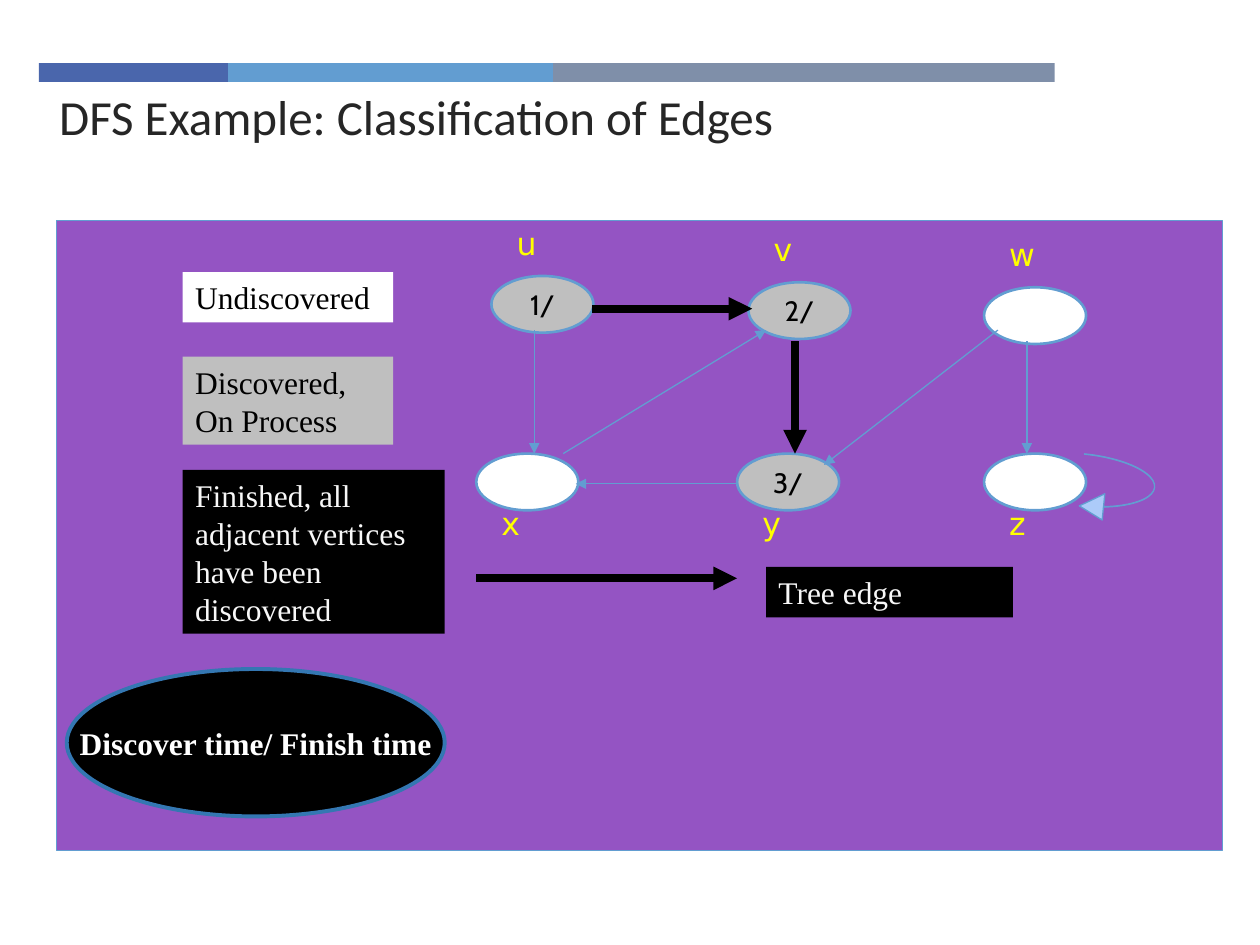
from lxml.etree import SubElement
from pptx import Presentation
from pptx.dml.color import RGBColor
from pptx.enum.shapes import MSO_CONNECTOR as Link, MSO_SHAPE as Form
from pptx.enum.text import MSO_ANCHOR as Anchor, PP_ALIGN as Align
from pptx.oxml.ns import qn
from pptx.util import Inches, Pt

BLACK, WHITE, GRAY, PALE = "000000", "FFFFFF", "BFBFBF", "F8F8F8"
BLUE, PURPLE, YELLOW = "629DD1", "9454C3", "FFFF00"
SERIF = "Times New Roman"


def color(code):
    return RGBColor.from_string(code)


class Board:
    """Holds the slide and its common style."""

    def __init__(self, slide):
        self.slide = slide
        self.shapes = slide.shapes

    def label(self, shape, text, size, face, ink, align=Align.LEFT,
              anchor=Anchor.TOP, wrap=True, bold=False):
        """Set and format the text of a shape."""
        frame = shape.text_frame
        frame.text = text
        frame.word_wrap = wrap
        frame.vertical_anchor = anchor
        para = frame.paragraphs[0]
        para.alignment = align
        para.space_before = Pt(0)
        font = para.runs[0].font
        font.size, font.name, font.bold = Pt(size), face, bold
        font.color.rgb = color(ink)

    def title(self, text, *box):
        shape = self.shapes.title
        shape.left, shape.top, shape.width, shape.height = map(Inches, box)
        self.label(shape, text, 28, "Calibri", "262626", anchor=Anchor.MIDDLE)

    def shape(self, form, box, fill, line=None, width=0.75):
        shape = self.shapes.add_shape(form, *map(Inches, box))
        shape.shadow.inherit = False
        shape.fill.solid()
        shape.fill.fore_color.rgb = color(fill)
        if line:
            shape.line.color.rgb = color(line)
            shape.line.width = Pt(width)
        else:
            shape.line.fill.background()
        return shape

    def note(self, text, box, fill, ink):
        self.label(self.shape(Form.RECTANGLE, box, fill), text, 18, SERIF, ink)

    def node(self, name, x, y, drop, fill, time):
        """Draw a vertex with its name placed drop inches below its top."""
        oval = self.shape(Form.OVAL, (x, y, 0.81, 0.45), fill, BLUE, 1.5)
        if time:
            self.label(oval, time, 16, "Cabin", BLACK, Align.CENTER,
                       Anchor.MIDDLE, wrap=False)
        box = map(Inches, (x + 0.02, y + drop, 0.81, 0.4))
        name_box = self.shapes.add_textbox(*box)
        name_box.text_frame.margin_left = Inches(0.18)
        self.label(name_box, name, 18, "DejaVu Sans", YELLOW)

    def arrow(self, ends, ink=BLUE, width=0.75):
        link = self.shapes.add_connector(Link.STRAIGHT, *map(Inches, ends))
        link.line.color.rgb = color(ink)
        link.line.width = Pt(width)
        props = link._element.spPr
        SubElement(props.find(qn("a:ln")), qn("a:tailEnd"), type="triangle")
        SubElement(props, qn("a:effectLst"))


def main():
    deck = Presentation()
    deck.slide_width, deck.slide_height = Inches(10), Inches(7.5)
    board = Board(deck.slides.add_slide(deck.slide_layouts[5]))

    left = 0.31
    for width, fill in ((1.5, "4A66AC"), (2.58, BLUE), (3.98, "7F8FA9")):
        board.shape(Form.RECTANGLE, (left, 0.5, width, 0.15), fill)
        left += width
    board.title("DFS Example: Classification of Edges", 0.37, 0.65, 8, 0.54)
    board.shape(Form.RECTANGLE, (0.45, 1.75, 9.25, 5), PURPLE, BLUE)

    loop = board.shape(Form.CURVED_DOWN_ARROW, (8.61, 3.6, 0.52, 0.58),
                       "ACCBF9", BLUE)
    loop.rotation = 95.8
    for i, value in enumerate((0.006, 0.402, 0.369)):
        loop.adjustments[i] = value

    above, below = -0.46, 0.35
    for vertex in (
        ("u", 3.9, 2.19, above, GRAY, "1/"),
        ("v", 5.94, 2.24, above, GRAY, "2/"),
        ("w", 7.81, 2.28, above, WHITE, ""),
        ("x", 3.78, 3.6, below, WHITE, ""),
        ("y", 5.85, 3.6, below, GRAY, "3/"),
        ("z", 7.81, 3.6, below, WHITE, ""),
    ):
        board.node(*vertex)

    for edge in (
        (5.84, 3.84, 4.57, 3.84),
        (4.24, 2.62, 4.24, 3.6),
        (8.15, 2.71, 8.15, 3.6),
        (7.92, 2.62, 6.54, 3.69),
        (4.47, 3.6, 6.08, 2.62),
    ):
        board.arrow(edge)
    for edge in (
        (4.7, 2.45, 5.97, 2.45),
        (6.31, 2.71, 6.31, 3.6),
        (3.78, 4.59, 5.85, 4.59),
    ):
        board.arrow(edge, BLACK, 4.5)

    for note in (
        ("Tree edge", (6.08, 4.5, 1.96, 0.4), BLACK, PALE),
        ("Undiscovered", (1.45, 2.16, 1.67, 0.4), WHITE, BLACK),
        ("Discovered, On Process", (1.45, 2.83, 1.67, 0.7), GRAY, BLACK),
        ("Finished, all adjacent vertices have been discovered",
         (1.45, 3.73, 2.08, 1.3), BLACK, PALE),
    ):
        board.note(*note)

    times = board.shape(Form.OVAL, (0.53, 5.31, 3, 1.17), BLACK, "3477B2", 2.25)
    board.label(times, "Discover time/ Finish time", 18, SERIF, WHITE,
                Align.CENTER, Anchor.MIDDLE, wrap=False, bold=True)
    deck.save("out.pptx")


if __name__ == "__main__":
    main()
